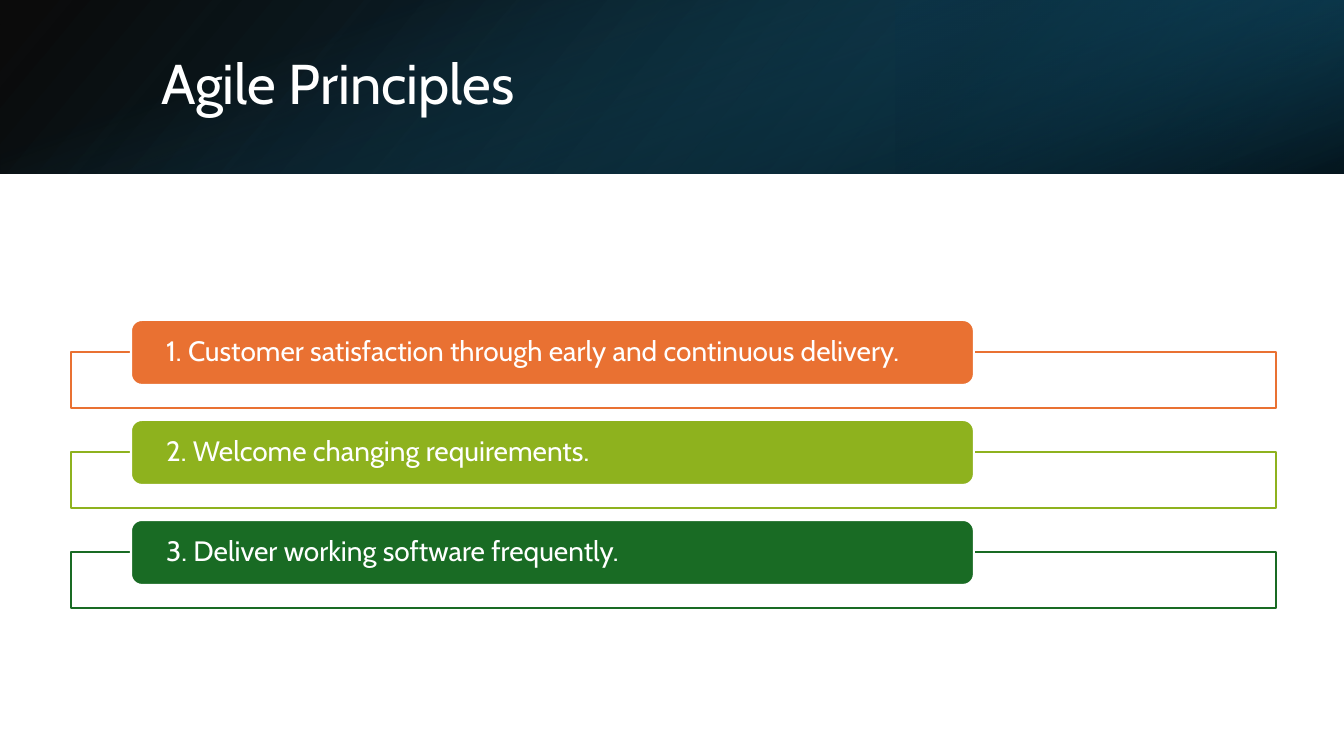
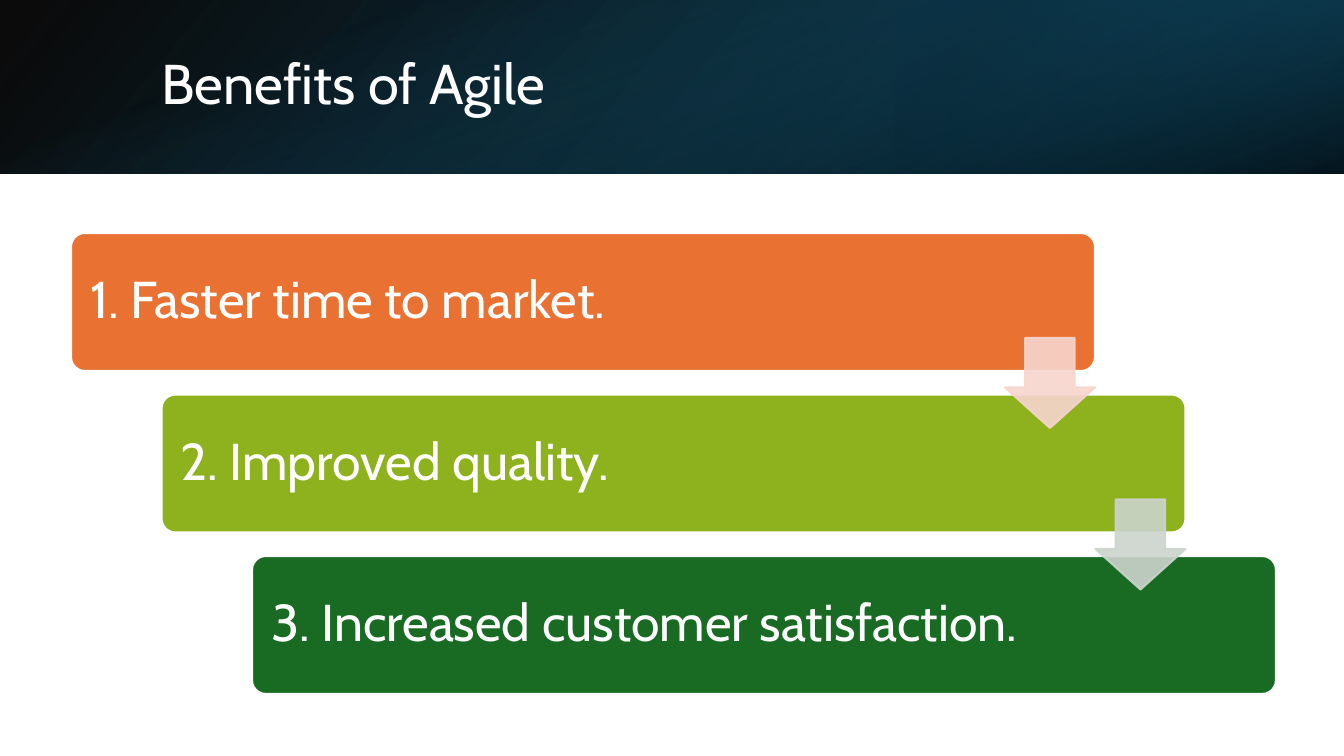
from lxml.etree import SubElement
from pptx import Presentation
from pptx.dml.color import RGBColor as RGB
from pptx.enum.shapes import MSO_SHAPE as Geo
from pptx.enum.text import MSO_ANCHOR as Anchor, MSO_AUTO_SIZE as Fit, PP_ALIGN as Align
from pptx.oxml import parse_xml
from pptx.oxml.ns import nsdecls, qn
from pptx.util import Emu, Pt

# Content
RULES = ("Agile Principles", [
    "1. Customer satisfaction through early and continuous delivery.",
    "2. Welcome changing requirements.",
    "3. Deliver working software frequently.",
])
GAINS = ("Benefits of Agile", [
    "1. Faster time to market.",
    "2. Improved quality.",
    "3. Increased customer satisfaction.",
])

# Shared look
FONT = "Cabin"
WIDE, HIGH, BAND = 1344, 756, 174
HUES = {"white": "FFFFFF", "black": "000000", "navy": "0B3041", "deep": "104862",
        "teal": "156082", "orange": "E97132", "lime": "8EB21E", "green": "196B24",
        "blush": "F7D5CE", "mist": "CCD4CD"}
ROWS = ("orange", "lime", "green")
ARROWS = ("blush", "mist")
# Header layers: box, rotation, mirrored, angle, stops (place, hue, opacity)
LAYERS = [
    ((0, 0, WIDE, BAND), 0, True, 140, [(0, "black", 96), (100, "deep", 100)]),
    ((896, 0, 448, BAND), 180, True, 320, [(19, "navy", 68), (100, "teal", 79)]),
    (((WIDE - BAND) // 2, (BAND - WIDE) // 2, BAND, WIDE), 90, False, 340,
     [(23, "teal", 0), (99, "black", 74)]),
]


def px(n):
    return Emu(round(n * 914400 / 100.8))


def fade(part, pct):
    """Set the opacity of a solid fill or line."""
    for clr in part.iter(qn("a:srgbClr")):
        SubElement(clr, qn("a:alpha")).set("val", str(pct * 1000))


def draw(slide, geo, box, fill=None, line=None, adj=()):
    shape = slide.shapes.add_shape(geo, *map(px, box))
    shape.shadow.inherit = False
    if fill:
        shape.fill.solid()
        shape.fill.fore_color.rgb = RGB.from_string(HUES[fill])
    if line:
        shape.line.color.rgb = RGB.from_string(HUES[line])
        shape.line.width = Pt(1.5)
    else:
        shape.line.fill.background()
    for i, val in enumerate(adj):
        shape.adjustments[i] = val
    return shape


def write(shape, text, size, inset=None):
    frame = shape.text_frame
    frame.text = text
    frame.word_wrap = True
    frame.auto_size = Fit.NONE
    frame.vertical_anchor = Anchor.MIDDLE
    if inset is not None:
        frame.margin_left = frame.margin_right = px(inset)
        frame.margin_top = frame.margin_bottom = 0
    para = frame.paragraphs[0]
    para.alignment = Align.LEFT
    para.line_spacing = 0.9
    para.font.name = FONT
    para.font.size = Pt(size)
    para.font.color.rgb = RGB.from_string(HUES["white"])


def blend(shape, angle, stops):
    marks = "".join(
        f'<a:gs pos="{at * 1000}"><a:srgbClr val="{HUES[hue]}">'
        f'<a:alpha val="{pct * 1000}"/></a:srgbClr></a:gs>'
        for at, hue, pct in stops)
    grad = parse_xml(f'<a:gradFill {nsdecls("a")} rotWithShape="1"><a:gsLst>{marks}</a:gsLst>'
                     f'<a:lin ang="{angle * 60000}" scaled="0"/></a:gradFill>')
    shape._element.spPr.find(qn("a:prstGeom")).addnext(grad)


def start(deck, head):
    """Add a slide with the header band and its title."""
    slide = deck.slides.add_slide(deck.slide_layouts[5])
    for box, turn, flip, angle, stops in LAYERS:
        layer = draw(slide, Geo.RECTANGLE, box)
        layer.rotation = turn
        if flip:
            layer._element.spPr.find(qn("a:xfrm")).set("flipH", "1")
        blend(layer, angle, stops)
    title = slide.shapes.title
    title.left, title.top, title.width, title.height = map(px, (151, 38, 1107, 97))
    write(title, head, 40)
    slide.shapes._spTree.append(title._element)  # bring in front of the band
    return slide


def rules(deck):
    head, items = RULES
    slide = start(deck, head)
    for i, (text, hue) in enumerate(zip(items, ROWS)):
        down = i * 100
        frame = draw(slide, Geo.RECTANGLE, (71, 352 + down, 1205, 56), "white", hue)
        fade(frame._element.spPr.find(qn("a:solidFill")), 90)
        pill = draw(slide, Geo.ROUNDED_RECTANGLE, (131, 320 + down, 843, 65), hue, "white")
        write(pill, text, 20, 32)


def gains(deck):
    head, items = GAINS
    slide = start(deck, head)
    over, down = 90.5, 161.5
    for i, (text, hue) in enumerate(zip(items, ROWS)):
        box = (71 + i * over, 233 + i * down, 1024, 138)
        bar = draw(slide, Geo.ROUNDED_RECTANGLE, box, hue, "white", [0.1])
        write(bar, text, 37, 15)
    for i, hue in enumerate(ARROWS):
        box = (1005 + i * over, 338 + i * down, 90, 90)
        arrow = draw(slide, Geo.DOWN_ARROW, box, hue, hue, [0.55, 0.45])
        fade(arrow._element.spPr, 90)


def main():
    deck = Presentation()
    deck.slide_width, deck.slide_height = px(WIDE), px(HIGH)
    rules(deck)
    gains(deck)
    deck.save("out.pptx")


if __name__ == "__main__":
    main()
